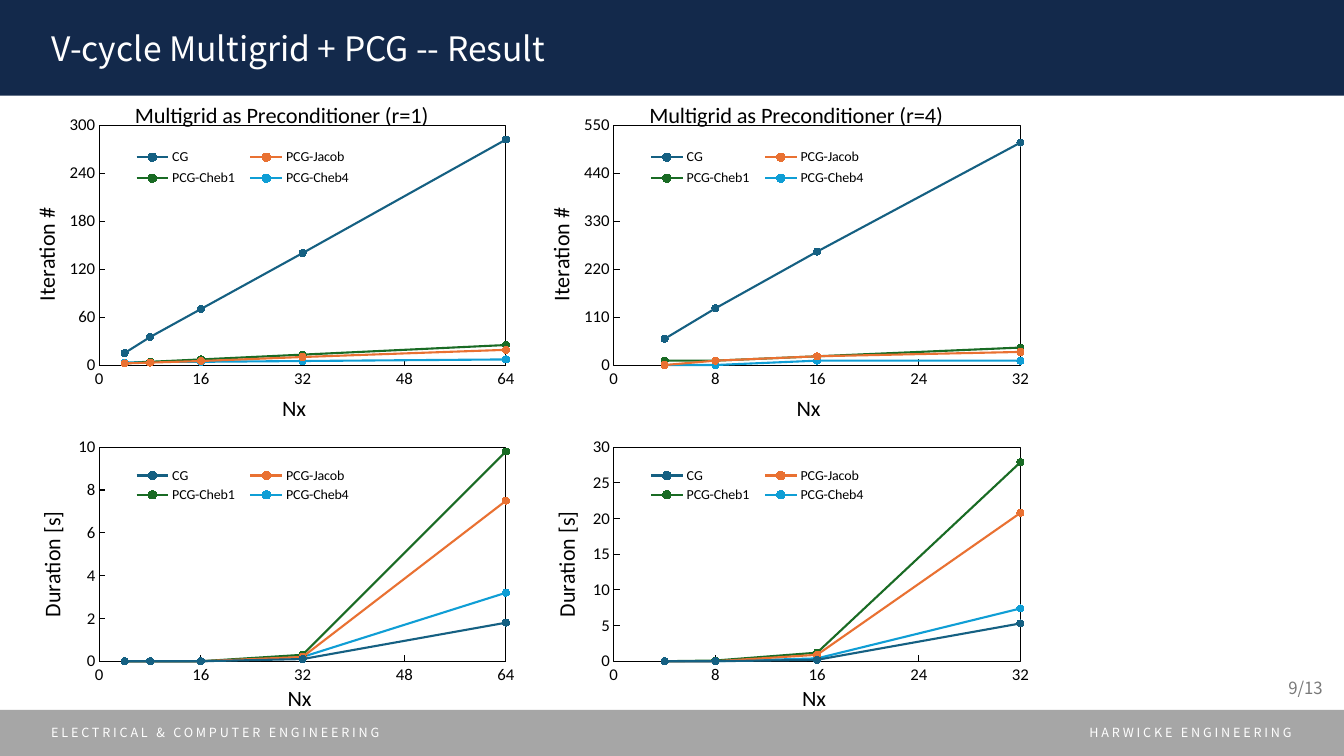
from lxml import etree
from pptx import Presentation
from pptx.chart.data import XyChartData
from pptx.dml.color import RGBColor
from pptx.enum.chart import (XL_CHART_TYPE as ChartType, XL_LEGEND_POSITION as LegendPos,
                             XL_MARKER_STYLE as Marker, XL_TICK_MARK as Tick)
from pptx.enum.shapes import MSO_SHAPE as Shape
from pptx.enum.text import MSO_ANCHOR as Anchor, PP_ALIGN as Align
from pptx.oxml import parse_xml
from pptx.oxml.ns import nsdecls, qn
from pptx.util import Pt

NAVY = RGBColor(0x13, 0x29, 0x4B)
GREY = RGBColor(0xA6, 0xA6, 0xA6)
PAGE_GREY = RGBColor(0x79, 0x79, 0x79)
WHITE = RGBColor(0xFF, 0xFF, 0xFF)
BLACK = RGBColor(0, 0, 0)
SOLVERS = {
    "CG": RGBColor(0x15, 0x60, 0x82),
    "PCG-Jacob": RGBColor(0xE9, 0x71, 0x32),
    "PCG-Cheb1": RGBColor(0x19, 0x6B, 0x24),
    "PCG-Cheb4": RGBColor(0x0F, 0x9E, 0xD5),
}
SLIDE_FONT, CHART_FONT = "Noto Sans CJK SC", "Calibri"
SLIDE_W, SLIDE_H = 960, 540
CHART_W, CHART_STEP = 389.5, 367.5

# Rows: top, height, y title, places of x title, y title and legend
ITERATION_ROW = (59, 247.7, "Iteration #", (0.51, 0.9), (0.05, 0.36), (0.23, 0.18, 0.43, 0.14))
DURATION_ROW = (292.3, 221.8, "Duration [s]", (0.52, 0.89), (0.06, 0.33), (0.23, 0.18, 0.43, 0.14))

# Charts: row, column, title, x step, y maximum, y step, values per solver
CHARTS = [
    (ITERATION_ROW, 0, "Multigrid as Preconditioner (r=1)", 16, 300, 60,
     [(15, 35, 70, 140, 282), (2, 3, 5, 10, 19), (2, 4, 7, 13, 25), (3, 4, 4, 5, 7)]),
    (DURATION_ROW, 0, None, 16, 10, 2,
     [(0, 0, 0, 0.1, 1.8), (0, 0, 0, 0.2, 7.5), (0, 0, 0, 0.3, 9.8), (0, 0, 0, 0.2, 3.2)]),
    (ITERATION_ROW, 1, "Multigrid as Preconditioner (r=4)", 8, 550, 110,
     [(60, 130, 260, 510), (0, 10, 20, 30), (10, 10, 20, 40), (0, 0, 10, 10)]),
    (DURATION_ROW, 1, None, 8, 30, 5,
     [(0, 0, 0.2, 5.3), (0, 0, 0.9, 20.8), (0, 0.1, 1.2, 27.9), (0, 0, 0.4, 7.4)]),
]


def add_band(s, top, height, color):
    sp = s.shapes.add_shape(Shape.RECTANGLE, 0, Pt(top), Pt(SLIDE_W), Pt(height))
    sp.shadow.inherit = False
    sp.fill.solid()
    sp.fill.fore_color.rgb = color
    sp.line.fill.background()


def style_font(font, name, size, color):
    font.name, font.size, font.color.rgb, font.bold = name, Pt(size), color, False


def write(tf, text, size, color, align=Align.LEFT, font=SLIDE_FONT, spacing=0):
    p = tf.paragraphs[0]
    p.alignment = align
    r = p.add_run()
    r.text = text
    style_font(r.font, font, size, color)
    if spacing:
        r.font._element.set("spc", str(spacing * 100))


def add_text(s, left, top, width, height, text, size, color, align=Align.LEFT, spacing=0):
    tf = s.shapes.add_textbox(Pt(left), Pt(top), Pt(width), Pt(height)).text_frame
    tf.word_wrap = True
    tf.vertical_anchor = Anchor.MIDDLE
    write(tf, text, size, color, align, spacing=spacing)


def add_title(s, text):
    sp = s.shapes.title
    sp.left, sp.top, sp.width, sp.height = Pt(29.5), Pt(16), Pt(859), Pt(36)
    sp.text_frame.vertical_anchor = Anchor.MIDDLE
    write(sp.text_frame, text, 24, WHITE)
    s.shapes.element.append(sp.element)  # in front of the header band


def place(element, index, box, inner=False):
    """Give a chart part a manual layout in fractions of the chart."""
    for old in element.findall(qn("c:layout")):
        element.remove(old)
    layout = parse_xml(f"<c:layout {nsdecls('c')}><c:manualLayout/></c:layout>")
    settings = [("layoutTarget", "inner")] if inner else []
    settings += [("xMode", "edge"), ("yMode", "edge")]
    settings += zip("xywh", box)
    for tag, value in settings:
        etree.SubElement(layout[0], qn(f"c:{tag}")).set("val", str(value))
    element.insert(index, layout)


def add_chart_title(title, text, spot, rotation=0):
    tf = title.text_frame
    write(tf, text, 16, BLACK, Align.CENTER, CHART_FONT)
    tf._txBody.bodyPr.set("rot", str(rotation * 60000))
    place(title._element, 1, spot)


def style_axis(axis, maximum, step, title, spot, rotation=0):
    axis.minimum_scale, axis.maximum_scale, axis.major_unit = 0, maximum, step
    axis.has_major_gridlines = False
    axis.major_tick_mark, axis.minor_tick_mark = Tick.INSIDE, Tick.NONE
    axis.format.line.color.rgb = BLACK
    axis.format.line.width = Pt(0.75)
    axis.tick_labels.number_format = "General"
    axis.tick_labels.number_format_is_linked = False
    style_font(axis.tick_labels.font, CHART_FONT, 12, BLACK)
    add_chart_title(axis.axis_title, title, spot, rotation)


def style_series(series, color):
    series.smooth = False
    series.format.line.color.rgb = color
    series.format.line.width = Pt(1.5)
    series.marker.style, series.marker.size = Marker.CIRCLE, 5
    series.marker.format.fill.solid()
    series.marker.format.fill.fore_color.rgb = color
    series.marker.format.line.color.rgb = color


def frame_plot(chart):
    """Clear the chart background and outline the plot area."""
    space = chart._chartSpace
    ns = nsdecls("c", "a")
    space.find(qn("c:chart")).addnext(parse_xml(
        f"<c:spPr {ns}><a:noFill/><a:ln><a:noFill/></a:ln></c:spPr>"))
    plot = space.find(".//" + qn("c:plotArea"))
    plot.append(parse_xml(
        f'<c:spPr {ns}><a:noFill/><a:ln w="{Pt(0.75)}"><a:solidFill>'
        f'<a:srgbClr val="{BLACK}"/></a:solidFill></a:ln></c:spPr>'))
    place(plot, 0, (0.182, 0.125, 0.746, 0.704), inner=True)


def add_solver_chart(s, row, column, title, x_step, y_max, y_step, results):
    top, height, y_title, x_spot, y_spot, legend_box = row
    data = XyChartData()
    for name, values in zip(SOLVERS, results):
        series = data.add_series(name)
        for i, value in enumerate(values):
            series.add_data_point(4 * 2 ** i, value)
    chart = s.shapes.add_chart(ChartType.XY_SCATTER_LINES, Pt(column * CHART_STEP), Pt(top),
                               Pt(CHART_W), Pt(height), data).chart
    style_font(chart.font, SLIDE_FONT, 10, BLACK)
    chart.has_title = bool(title)
    if title:
        add_chart_title(chart.chart_title, title, (0.24, 0.04))
    style_axis(chart.category_axis, 4 * x_step, x_step, "Nx", x_spot)
    style_axis(chart.value_axis, y_max, y_step, y_title, y_spot, -90)
    chart.plots[0].vary_by_categories = False
    for series, color in zip(chart.plots[0].series, SOLVERS.values()):
        style_series(series, color)
    chart.has_legend = True
    legend = chart.legend
    legend.position = LegendPos.RIGHT
    legend.include_in_layout = False
    style_font(legend.font, CHART_FONT, 10, BLACK)
    place(legend._element, 1, legend_box)
    frame_plot(chart)


def main():
    prs = Presentation()
    prs.slide_width, prs.slide_height = Pt(SLIDE_W), Pt(SLIDE_H)
    s = prs.slides.add_slide(prs.slide_layouts[5])

    # Header and footer
    add_band(s, 507, 33, GREY)
    add_band(s, 0, 68.4, NAVY)
    add_title(s, "V-cycle Multigrid + PCG -- Result")
    add_text(s, 29.5, 514, 629, 18, "ELECTRICAL & COMPUTER ENGINEERING", 9, WHITE, spacing=2)
    add_text(s, 735, 514, 194.5, 18, "HARWICKE ENGINEERING", 9, WHITE, Align.RIGHT, 2)

    # Solver results
    for chart in CHARTS:
        add_solver_chart(s, *chart)

    # Page number
    add_text(s, 736, 477, 216, 28.8, "9/13", 12, PAGE_GREY, Align.RIGHT)
    prs.save("out.pptx")


if __name__ == "__main__":
    main()
